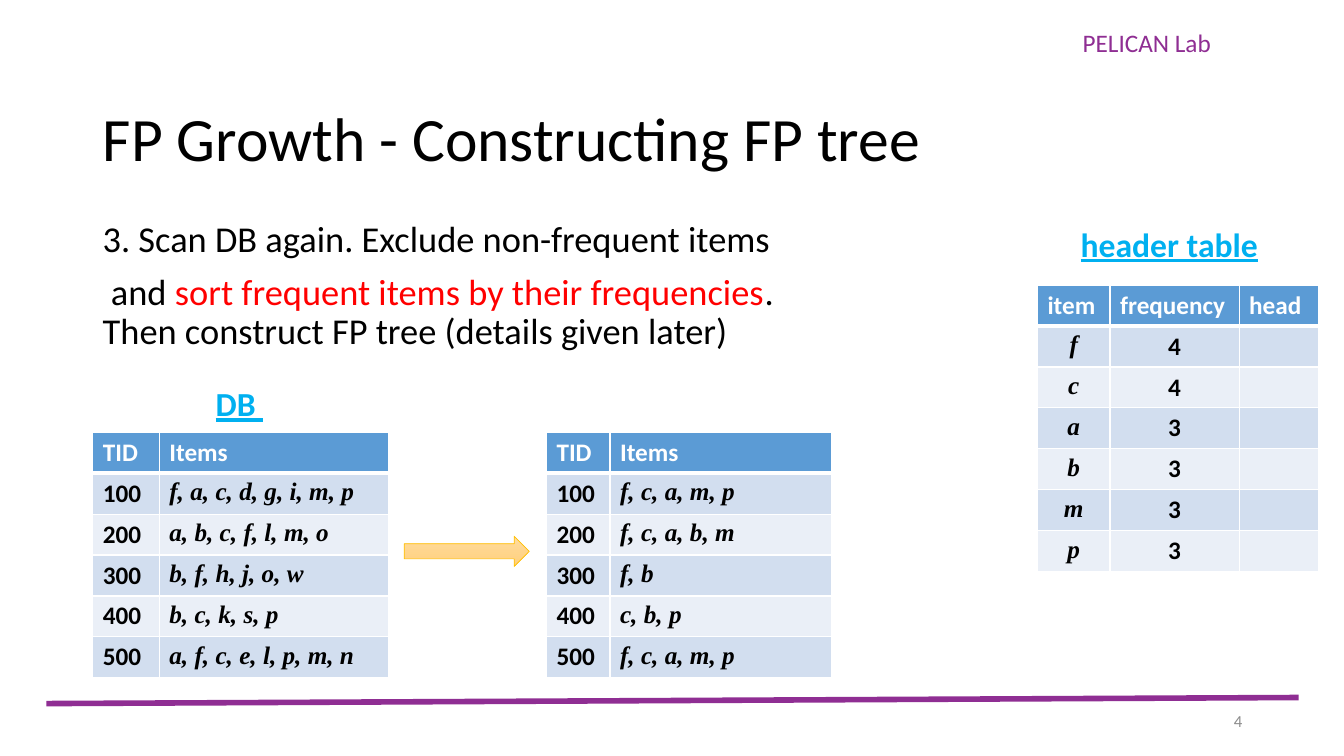
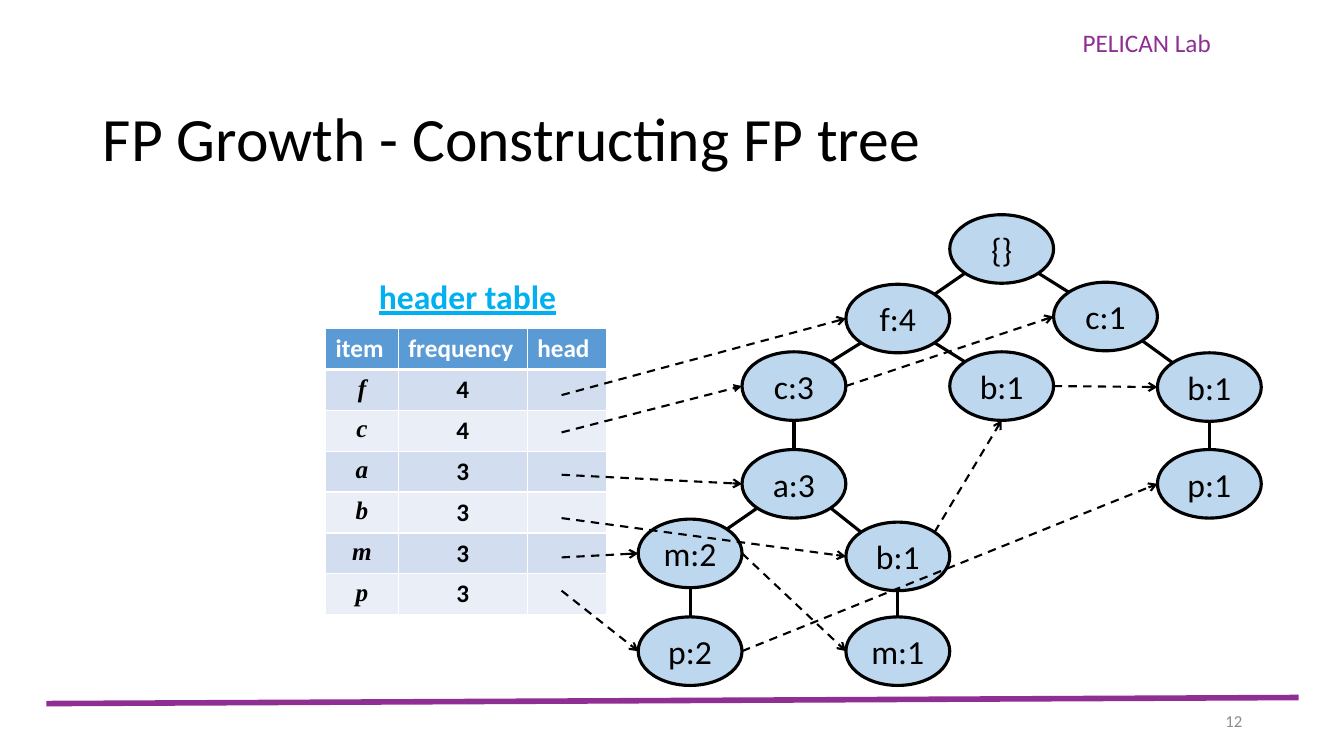
from lxml import etree
from pptx import Presentation
from pptx.dml.color import RGBColor
from pptx.enum.dml import MSO_LINE
from pptx.enum.shapes import MSO_CONNECTOR, MSO_SHAPE
from pptx.enum.text import MSO_ANCHOR, MSO_AUTO_SIZE, PP_ALIGN
from pptx.oxml.ns import qn
from pptx.util import Inches, Pt

LEFT, CENTER, RIGHT = PP_ALIGN.LEFT, PP_ALIGN.CENTER, PP_ALIGN.RIGHT
TOP, MIDDLE = MSO_ANCHOR.TOP, MSO_ANCHOR.MIDDLE
STRAIGHT, DASH = MSO_CONNECTOR.STRAIGHT, MSO_LINE.DASH
ELLIPSE, RIGHT_ARROW = MSO_SHAPE.OVAL, MSO_SHAPE.RIGHT_ARROW
NO_AUTOFIT = MSO_AUTO_SIZE.NONE

SANS, SERIF = "Calibri", "Times New Roman"
BLACK, WHITE, RED, GRAY = "000000", "FFFFFF", "FF0000", "8C8C8C"
PURPLE, CYAN, NODE_BLUE = "8F2E93", "00B0F0", "BDD7EE"
HEADER_BLUE, BANDS = "5B9BD5", ("D2DEEF", "EAEFF7")
GOLD, ARROW_GRADIENT = "FFC000", ("FFDB9E", "FFD07C")

ROW_HEIGHT = 2.84 / 7
NODE_WIDTH, NODE_HEIGHT, TREE_LEFT = 1.03, 0.68, 6.33
DIAGONAL = 0.5 ** 0.5
# Points on an ellipse, as multiples of its half width and half height
SITES = {
    "top": (0, -1), "bottom": (0, 1), "left": (-1, 0), "right": (1, 0),
    "top left": (-DIAGONAL, -DIAGONAL), "top right": (DIAGONAL, -DIAGONAL),
    "bottom left": (-DIAGONAL, DIAGONAL), "bottom right": (DIAGONAL, DIAGONAL),
}

TITLE = "FP Growth - Constructing FP tree"
HEADER_TABLE = [("item", "frequency", "head")] + [
    (item, count, "") for item, count in zip("fcabmp", "443333")]
HEADER_COLUMNS = (0.72, 1.28, 0.79)
TRANSACTIONS = [
    ("TID", "Items"), ("100", "f, a, c, d, g, i, m, p"),
    ("200", "a, b, c, f, l, m, o"), ("300", "b, f, h, j, o, w"),
    ("400", "b, c, k, s, p"), ("500", "a, f, c, e, l, p, m, n")]
SORTED_TRANSACTIONS = [
    ("TID", "Items"), ("100", "f, c, a, m, p"), ("200", "f, c, a, b, m"),
    ("300", "f, b"), ("400", "c, b, p"), ("500", "f, c, a, m, p")]

# Tree nodes: name -> label, column, top
NODES = {
    "root": ("{}", 3, 2.13),
    "f": ("f:4", 2, 2.82), "f-c": ("c:3", 1, 3.49), "f-b": ("b:1", 3, 3.49),
    "a": ("a:3", 1, 4.46), "a-m": ("m:2", 0, 5.15), "a-m-p": ("p:2", 0, 6.12),
    "a-b": ("b:1", 2, 5.18), "a-b-m": ("m:1", 2, 6.12),
    "c": ("c:1", 4, 2.80), "c-b": ("b:1", 5, 3.50), "c-b-p": ("p:1", 5, 4.46),
}
# Each direction of a branch: the site it leaves and the site it reaches
BRANCH_SITES = {"left": ("bottom left", "top right"),
                "right": ("bottom right", "top left"),
                "down": ("bottom", "top")}
BRANCHES = [
    ("root", "f", "left"), ("root", "c", "right"), ("f", "f-c", "left"),
    ("f", "f-b", "right"), ("f-c", "a", "down"), ("a", "a-m", "left"),
    ("a", "a-b", "right"), ("a-m", "a-m-p", "down"),
    ("a-b", "a-b-m", "down"), ("c", "c-b", "right"), ("c-b", "c-b-p", "down")]
# Links from the head column: start height, node reached, arrowhead
HEAD_LINKS = [
    (3.92, "f", "arrow"), (4.29, "f-c", "triangle"), (4.71, "a", "arrow"),
    (5.14, "a-b", "arrow"), (5.53, "a-m", "arrow"), (5.86, "a-m-p", "arrow")]
NODE_LINKS = [
    ("f-c", "right", "c", "left"), ("a-b", "top right", "f-b", "bottom"),
    ("f-b", "right", "c-b", "left"), ("a-m", "right", "a-b-m", "left"),
    ("a-m-p", "right", "c-b-p", "left")]


def color(value):
    return RGBColor.from_string(value)


def write_text(frame, *paragraphs, size=18, fill=BLACK, font=SANS, bold=False,
               italic=False, underline=False, align=LEFT, anchor=TOP,
               wrap=True, line_spacing=None, space_before=None):
    """Write paragraphs, each a string or a list of (text, color) runs."""
    frame.word_wrap = wrap
    frame.vertical_anchor = anchor
    for index, content in enumerate(paragraphs):
        paragraph = frame.add_paragraph() if index else frame.paragraphs[0]
        paragraph.alignment = align
        paragraph.line_spacing = line_spacing
        paragraph.space_before = space_before
        runs = [(content, fill)] if isinstance(content, str) else content
        for text, run_color in runs:
            for part_index, part in enumerate(text.split("\n")):
                if part_index:
                    paragraph.add_line_break()
                run = paragraph.add_run()
                run.text = part
                run.font.name, run.font.size = font, Pt(size)
                run.font.bold, run.font.italic = bold, italic
                run.font.underline = underline
                run.font.color.rgb = color(run_color)


def set_cell_borders(cell, bottom):
    properties = cell._tc.get_or_add_tcPr()
    for side, width in (("L", 1), ("R", 1), ("T", 1), ("B", bottom)):
        border = etree.SubElement(properties, qn("a:ln" + side), w=str(Pt(width)))
        fill = etree.SubElement(border, qn("a:solidFill"))
        etree.SubElement(fill, qn("a:srgbClr"), val=WHITE)


def node_site(name, site):
    """Return the point of a tree node where a line is attached."""
    _, column, top = NODES[name]
    across, down = SITES[site]
    return (TREE_LEFT + NODE_WIDTH * (column + 0.5 + across / 2),
            top + NODE_HEIGHT * (0.5 + down / 2))


class Deck:
    def __init__(self):
        self.presentation = Presentation()
        self.presentation.slide_width = Inches(13.33)
        self.presentation.slide_height = Inches(7.5)
        self.slide = None

    def new_slide(self, title, number):
        """Start a slide with the shared title, lab name, rule and number."""
        layout = self.presentation.slide_layouts[5]
        self.slide = self.presentation.slides.add_slide(layout)
        self.text(10.64, 0.22, 1.63, 0.4, "PELICAN Lab", fill=PURPLE)
        self.line((0.46, 6.98), (12.88, 6.92), 4, PURPLE)
        shape = self.slide.shapes.title
        shape.left, shape.top = Inches(0.92), Inches(0.68)
        shape.width, shape.height = Inches(11.5), Inches(1.45)
        shape.text_frame.auto_size = NO_AUTOFIT
        write_text(shape.text_frame, title, size=44, anchor=MIDDLE,
                   line_spacing=0.9)
        self.text(9.42, 6.95, 3, 0.4, number, size=12, fill=GRAY,
                  align=RIGHT, anchor=MIDDLE)

    def text(self, left, top, width, height, *paragraphs, **style):
        box = self.slide.shapes.add_textbox(
            Inches(left), Inches(top), Inches(width), Inches(height))
        write_text(box.text_frame, *paragraphs, **style)

    def caption(self, left, top, width, text):
        self.text(left, top, width, 0.5, text, size=24, fill=CYAN, bold=True,
                  underline=True, wrap=False)

    def shape(self, kind, left, top, width, height, line, line_width):
        shape = self.slide.shapes.add_shape(
            kind, Inches(left), Inches(top), Inches(width), Inches(height))
        shape.shadow.inherit = False
        shape.line.color.rgb = color(line)
        shape.line.width = Pt(line_width)
        return shape

    def node(self, label, column, top):
        shape = self.shape(ELLIPSE, TREE_LEFT + column * NODE_WIDTH, top,
                           NODE_WIDTH, NODE_HEIGHT, BLACK, 2.25)
        shape.fill.solid()
        shape.fill.fore_color.rgb = color(NODE_BLUE)
        write_text(shape.text_frame, label, size=24, align=CENTER,
                   anchor=MIDDLE, wrap=False)

    def block_arrow(self, left, top, width, height):
        fill = self.shape(RIGHT_ARROW, left, top, width, height, GOLD, 0.5).fill
        fill.gradient()
        fill.gradient_angle = 270
        for stop, value in zip(fill.gradient_stops, ARROW_GRADIENT):
            stop.color.rgb = color(value)

    def line(self, start, end, width=2.25, stroke=BLACK):
        connector = self.slide.shapes.add_connector(
            STRAIGHT, *(Inches(value) for value in (*start, *end)))
        connector.line.color.rgb = color(stroke)
        connector.line.width = Pt(width)
        etree.SubElement(connector._element.spPr, qn("a:effectLst"))
        return connector

    def link(self, start, end, head="arrow"):
        line = self.line(start, end, 1.5).line
        line.dash_style = DASH
        etree.SubElement(line._get_or_add_ln(), qn("a:tailEnd"), type=head)

    def table(self, left, top, widths, rows, serif_column, align=LEFT):
        table = self.slide.shapes.add_table(
            len(rows), len(widths), Inches(left), Inches(top),
            Inches(sum(widths)), Inches(ROW_HEIGHT * len(rows))).table
        for column, width in zip(table.columns, widths):
            column.width = Inches(width)
        for row_index, row in enumerate(rows):
            is_header = row_index == 0
            for column_index, text in enumerate(row):
                cell = table.cell(row_index, column_index)
                set_cell_borders(cell, 3 if is_header else 1)
                cell.fill.solid()
                cell.fill.fore_color.rgb = color(
                    HEADER_BLUE if is_header else BANDS[(row_index - 1) % 2])
                if not text:
                    continue
                serif = column_index == serif_column and not is_header
                write_text(cell.text_frame, text, bold=True, italic=serif,
                           font=SERIF if serif else SANS,
                           fill=WHITE if is_header else BLACK,
                           align=LEFT if is_header else align)

    def header_table(self, left, top):
        self.table(left, top, HEADER_COLUMNS, HEADER_TABLE, 0, CENTER)


def add_scan_slide(deck):
    deck.new_slide(TITLE, "4")
    deck.text(0.92, 2.14, 11.5, 1.5,
              "3. Scan DB again. Exclude non-frequent items",
              [(" and ", BLACK),
               ("sort frequent items by their frequencies", RED),
               (". \nThen construct FP tree (details given later)", BLACK)],
              size=26, line_spacing=0.9, space_before=Pt(10))
    # Transactions before and after sorting
    deck.table(0.92, 4.29, (0.66, 2.27), TRANSACTIONS, 1)
    deck.table(5.42, 4.29, (0.63, 2.2), SORTED_TRANSACTIONS, 1)
    deck.header_table(10.29, 2.83)
    deck.caption(10.62, 2.17, 1.98, "header table")
    deck.caption(2.04, 3.75, 0.68, "DB ")
    deck.block_arrow(4.01, 5.32, 1.24, 0.3)


def add_tree_slide(deck):
    deck.new_slide(TITLE, "12")
    # Tree
    for label, column, top in NODES.values():
        deck.node(label, column, top)
    for parent, child, direction in BRANCHES:
        leave, reach = BRANCH_SITES[direction]
        deck.line(node_site(parent, leave), node_site(child, reach))
    # Header table and its chains of links
    deck.header_table(3.23, 3.26)
    for height, name, head in HEAD_LINKS:
        deck.link((5.57, height), node_site(name, "left"), head)
    for start, leave, end, reach in NODE_LINKS:
        deck.link(node_site(start, leave), node_site(end, reach))
    deck.caption(3.66, 2.69, 1.98, "header table")


def main():
    deck = Deck()
    add_scan_slide(deck)
    add_tree_slide(deck)
    deck.presentation.save("out.pptx")


if __name__ == "__main__":
    main()
